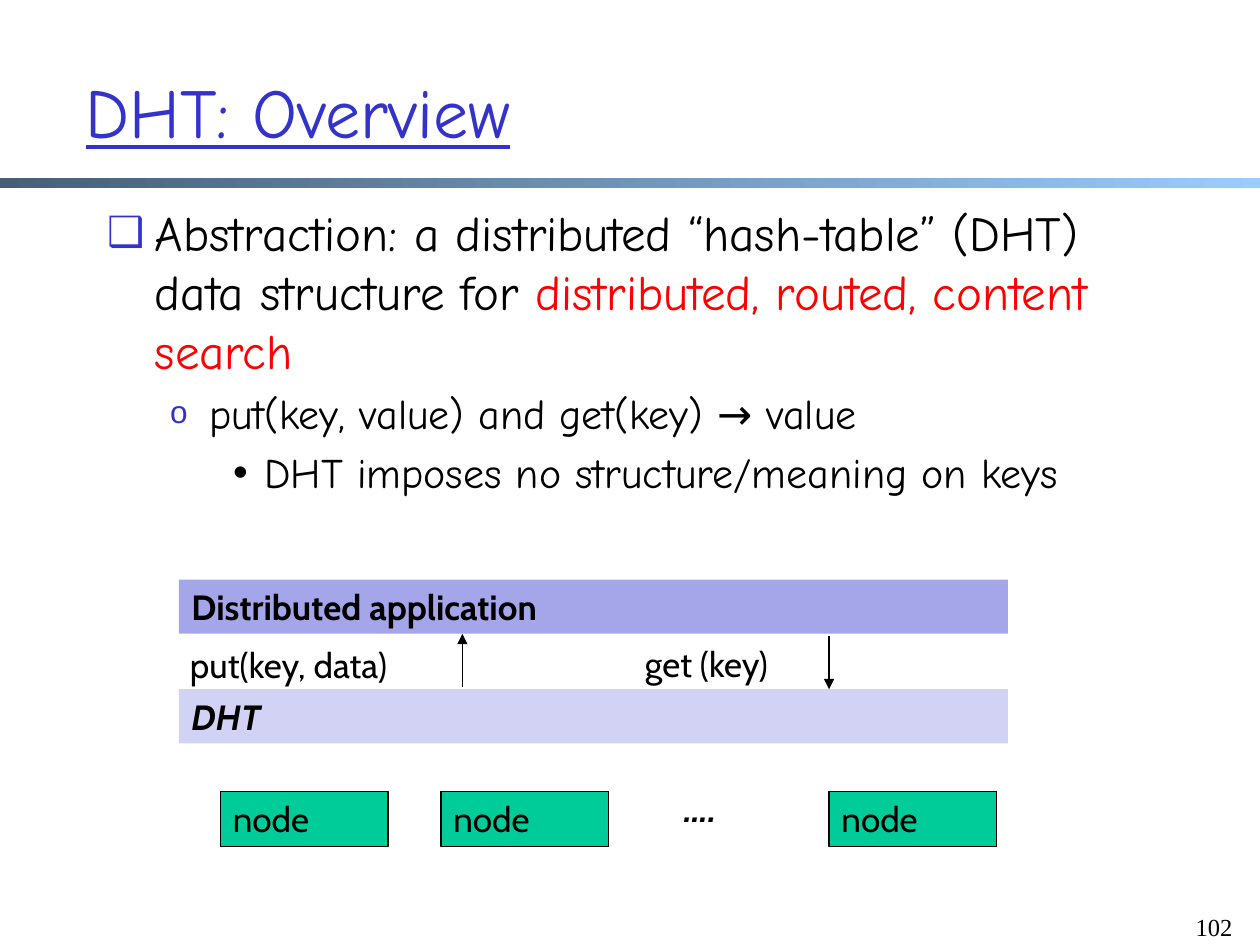
from dataclasses import dataclass

from lxml.etree import SubElement
from pptx import Presentation
from pptx.dml.color import RGBColor
from pptx.enum.shapes import MSO_CONNECTOR, MSO_SHAPE
from pptx.enum.text import MSO_ANCHOR, MSO_AUTO_SIZE, PP_ALIGN
from pptx.oxml.ns import qn
from pptx.util import Inches, Pt

HUES = {
    "ink": "000000", "blue": "3333CC", "red": "FF0000", "app": "A5A5E9",
    "dht": "D2D2F4", "node": "00CC99", "dark": "475E76", "sky": "99CCFF",
}


@dataclass
class Run:
    text: str
    size: float = 20
    font: str = "Cabin"
    hue: str = "ink"
    bold: bool = False
    slant: bool = False
    under: bool = False


@dataclass
class Box:
    left: float
    top: float
    width: float
    height: float
    run: Run
    fill: str = ""
    edge: bool = False
    mid: bool = False
    align: PP_ALIGN = PP_ALIGN.LEFT


@dataclass
class Item:
    runs: list[Run]
    left: float
    hang: float
    mark: str
    scale: int = 100
    hue: str = "ink"


def color(name: str) -> RGBColor:
    return RGBColor.from_string(HUES[name])


def add_run(para, run: Run) -> None:
    part = para.add_run()
    part.text = run.text
    font = part.font
    font.size, font.name = Pt(run.size), run.font
    font.bold, font.italic, font.underline = run.bold, run.slant, run.under
    font.color.rgb = color(run.hue)


def place(shape, left: float, top: float, width: float, height: float) -> None:
    shape.left, shape.top = Inches(left), Inches(top)
    shape.width, shape.height = Inches(width), Inches(height)


def add_box(slide, box: Box) -> None:
    area = [Inches(n) for n in (box.left, box.top, box.width, box.height)]
    if box.fill:
        shape = slide.shapes.add_shape(MSO_SHAPE.RECTANGLE, *area)
        shape.shadow.inherit = False
        shape.fill.solid()
        shape.fill.fore_color.rgb = color(box.fill)
        if box.edge:
            shape.line.color.rgb = color("ink")
            shape.line.width = Pt(0.75)
        else:
            shape.line.fill.background()
    else:
        shape = slide.shapes.add_textbox(*area)
    frame = shape.text_frame
    frame.word_wrap = bool(box.fill)
    frame.vertical_anchor = MSO_ANCHOR.MIDDLE if box.mid else MSO_ANCHOR.TOP
    para = frame.paragraphs[0]
    para.alignment = box.align
    add_run(para, box.run)


def add_arrow(slide, x: float, start: float, end: float) -> None:
    line = slide.shapes.add_connector(
        MSO_CONNECTOR.STRAIGHT, Inches(x), Inches(start), Inches(x), Inches(end))
    line.line.color.rgb = color("ink")
    line.line.width = Pt(0.75)
    SubElement(line.line._get_or_add_ln(), qn("a:tailEnd"), type="triangle")
    SubElement(line._element.spPr, qn("a:effectLst"))


def add_item(para, item: Item, level: int) -> None:
    para.level = level
    props = para._p.get_or_add_pPr()
    props.set("marL", str(Inches(item.left)))
    props.set("indent", str(-Inches(item.hang)))
    tint = SubElement(props, qn("a:buClr"))
    SubElement(tint, qn("a:srgbClr"), val=HUES[item.hue])
    SubElement(props, qn("a:buSzPct"), val=str(item.scale * 1000))
    SubElement(props, qn("a:buChar"), char=item.mark)
    if level == 0:
        para.space_before = Pt(0)
    for run in item.runs:
        add_run(para, run)


def main() -> None:
    deck = Presentation()
    deck.slide_width, deck.slide_height = Inches(10), Inches(7.5)
    slide = deck.slides.add_slide(deck.slide_layouts[1])
    comic = "Comic Neue"

    # Rule under the title
    rule = slide.shapes.add_shape(
        MSO_SHAPE.RECTANGLE, 0, Inches(1.41), Inches(10), Inches(0.08))
    rule.shadow.inherit = False
    rule.line.fill.background()
    rule.fill.gradient()
    rule.fill.gradient_angle = 0
    for stop, name, spot in zip(rule.fill.gradient_stops, ("dark", "sky"), (0, 1)):
        stop.color.rgb = color(name)
        stop.position = spot

    # Title
    title = slide.shapes.title
    place(title, 0.58, 0.25, 8.5, 1.25)
    title.text_frame.vertical_anchor = MSO_ANCHOR.MIDDLE
    title.text_frame.auto_size = MSO_AUTO_SIZE.NONE
    head = title.text_frame.paragraphs[0]
    head.alignment = PP_ALIGN.LEFT
    add_run(head, Run("DHT: Overview", 40, comic, "blue", under=True))

    # Bullet list
    items = [
        Item([Run("Abstraction: a distributed “hash-table” (DHT) data structure for",
                  28, comic),
              Run(" distributed, routed, content search", 28, comic, "red")],
             0.38, 0.38, "❑", 85, "blue"),
        Item([Run("put(key, value) and get(key) → value", 24, comic)],
             0.81, 0.31, "o", 75, "blue"),
        Item([Run("DHT imposes no structure/meaning on keys", 24, comic)],
             1.25, 0.25, "•"),
    ]
    body = slide.placeholders[1]
    place(body, 0.75, 1.56, 8.63, 3.2)
    frame = body.text_frame
    frame.auto_size = MSO_AUTO_SIZE.NONE
    for level, item in enumerate(items):
        para = frame.add_paragraph() if level else frame.paragraphs[0]
        add_item(para, item, level)

    # Layers, calls, nodes and page number
    boxes = [
        Box(1.42, 4.6, 6.58, 0.43, Run("Distributed application", bold=True), "app"),
        Box(1.42, 5.47, 6.58, 0.43, Run("DHT", bold=True, slant=True), "dht"),
        Box(1.41, 5.06, 1.94, 0.44, Run("put(key, data)")),
        Box(5.02, 5.05, 1.32, 0.44, Run("get (key)")),
        *(Box(x, 6.28, 1.33, 0.44, Run("node"), "node", edge=True, mid=True)
          for x in (1.75, 3.5, 6.58)),
        Box(5.33, 6.2, 0.57, 0.43, Run("….", bold=True, slant=True)),
        Box(9.38, 7.19, 0.5, 0.5, Run("102", 14, "Times New Roman"),
            align=PP_ALIGN.RIGHT),
    ]
    for box in boxes:
        add_box(slide, box)

    # Arrows between the layers
    add_arrow(slide, 3.67, 5.45, 5.03)
    add_arrow(slide, 6.58, 5.05, 5.47)

    deck.save("out.pptx")


if __name__ == "__main__":
    main()
